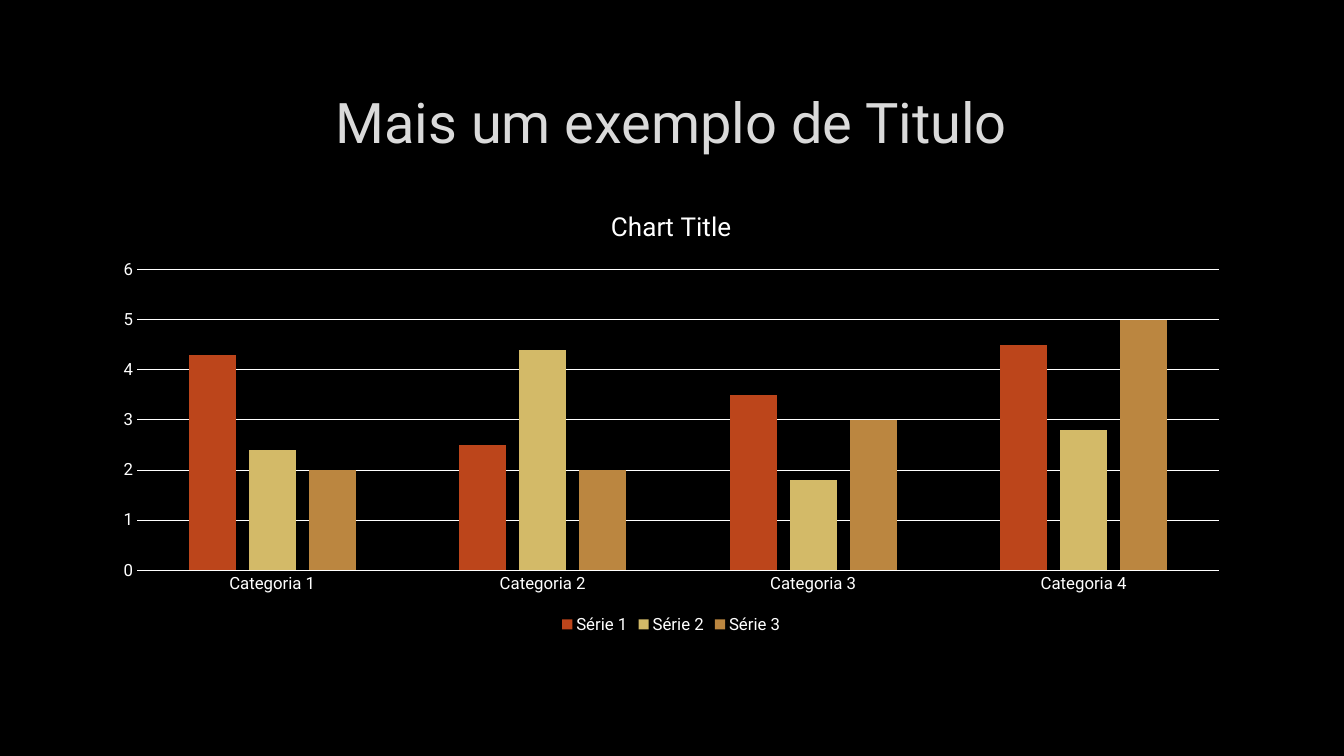
import pptx
import pptx.chart.data
import pptx.dml.color
import pptx.enum.chart
import pptx.enum.text
import pptx.oxml
import pptx.oxml.ns
import pptx.util

Pt = pptx.util.Pt
FONT = "Roboto"
COLORS = {
    "background": "000000",
    "title": "DADADA",
    "outline": "404040",
    "chart": "FFFFFF",
}
CATEGORIES = ["Categoria 1", "Categoria 2", "Categoria 3", "Categoria 4"]
SERIES = [
    ("Série 1", (4.3, 2.5, 3.5, 4.5), "BC451B"),
    ("Série 2", (2.4, 4.4, 1.8, 2.8), "D3BA68"),
    ("Série 3", (2, 2, 3, 5), "BB8640"),
]
LEFT, WIDTH = Pt(72), Pt(815)


def rgb(value):
    return pptx.dml.color.RGBColor.from_string(value)


def set_font(font, size, color):
    font.name = FONT
    font.size = Pt(size)
    font.bold = False
    font.color.rgb = rgb(color)


def set_line(line, color):
    line.color.rgb = rgb(color)
    line.width = Pt(0.75)


def outline_run(r, color):
    """Give the letters a faint, mostly transparent outline."""
    ln = pptx.oxml.parse_xml(
        f'<a:ln {pptx.oxml.ns.nsdecls("a")} w="{Pt(0.75)}"><a:solidFill>'
        f'<a:srgbClr val="{color}"><a:alpha val="10000"/></a:srgbClr>'
        "</a:solidFill></a:ln>"
    )
    r.font._element.insert(0, ln)


def add_title(s, text):
    sp = s.shapes.title
    sp.left, sp.top, sp.width, sp.height = LEFT, Pt(48), WIDTH, Pt(76.5)
    tf = sp.text_frame
    tf.word_wrap = True
    tf.vertical_anchor = pptx.enum.text.MSO_ANCHOR.MIDDLE
    p = tf.paragraphs[0]
    p.alignment = pptx.enum.text.PP_ALIGN.CENTER
    r = p.add_run()
    r.text = text
    set_font(r.font, 40, COLORS["title"])
    outline_run(r, COLORS["outline"])


def format_axis(axis):
    axis.major_tick_mark = pptx.enum.chart.XL_TICK_MARK.NONE
    axis.minor_tick_mark = pptx.enum.chart.XL_TICK_MARK.NONE
    set_font(axis.tick_labels.font, 12, COLORS["chart"])


def add_column_chart(s, title):
    data = pptx.chart.data.CategoryChartData()
    data.categories = CATEGORIES
    for name, values, _ in SERIES:
        data.add_series(name, values)
    chart = s.shapes.add_chart(
        pptx.enum.chart.XL_CHART_TYPE.COLUMN_CLUSTERED,
        LEFT, Pt(136), WIDTH, Pt(320), data,
    ).chart
    set_font(chart.font, 10, COLORS["chart"])

    # Chart title
    chart.has_title = True
    r = chart.chart_title.text_frame.paragraphs[0].add_run()
    r.text = title
    set_font(r.font, 18.6, COLORS["chart"])
    chart.chart_title.include_in_layout = False

    # Columns
    plot = chart.plots[0]
    plot.vary_by_categories = False
    plot.gap_width = 219
    plot.overlap = -27
    for series, (_, _, color) in zip(plot.series, SERIES):
        series.format.fill.solid()
        series.format.fill.fore_color.rgb = rgb(color)

    # Axes and gridlines
    format_axis(chart.category_axis)
    set_line(chart.category_axis.format.line, COLORS["chart"])
    format_axis(chart.value_axis)
    chart.value_axis.format.line.fill.background()
    chart.value_axis.has_major_gridlines = True
    set_line(chart.value_axis.major_gridlines.format.line, COLORS["chart"])

    # Legend
    chart.has_legend = True
    chart.legend.position = pptx.enum.chart.XL_LEGEND_POSITION.BOTTOM
    chart.legend.include_in_layout = False
    set_font(chart.legend.font, 12, COLORS["chart"])


def main():
    prs = pptx.Presentation()
    prs.slide_width, prs.slide_height = Pt(960), Pt(540)
    s = prs.slides.add_slide(prs.slide_layouts[5])
    s.background.fill.solid()
    s.background.fill.fore_color.rgb = rgb(COLORS["background"])
    add_title(s, "Mais um exemplo de Titulo")
    add_column_chart(s, "Chart Title")
    prs.save("out.pptx")


if __name__ == "__main__":
    main()
